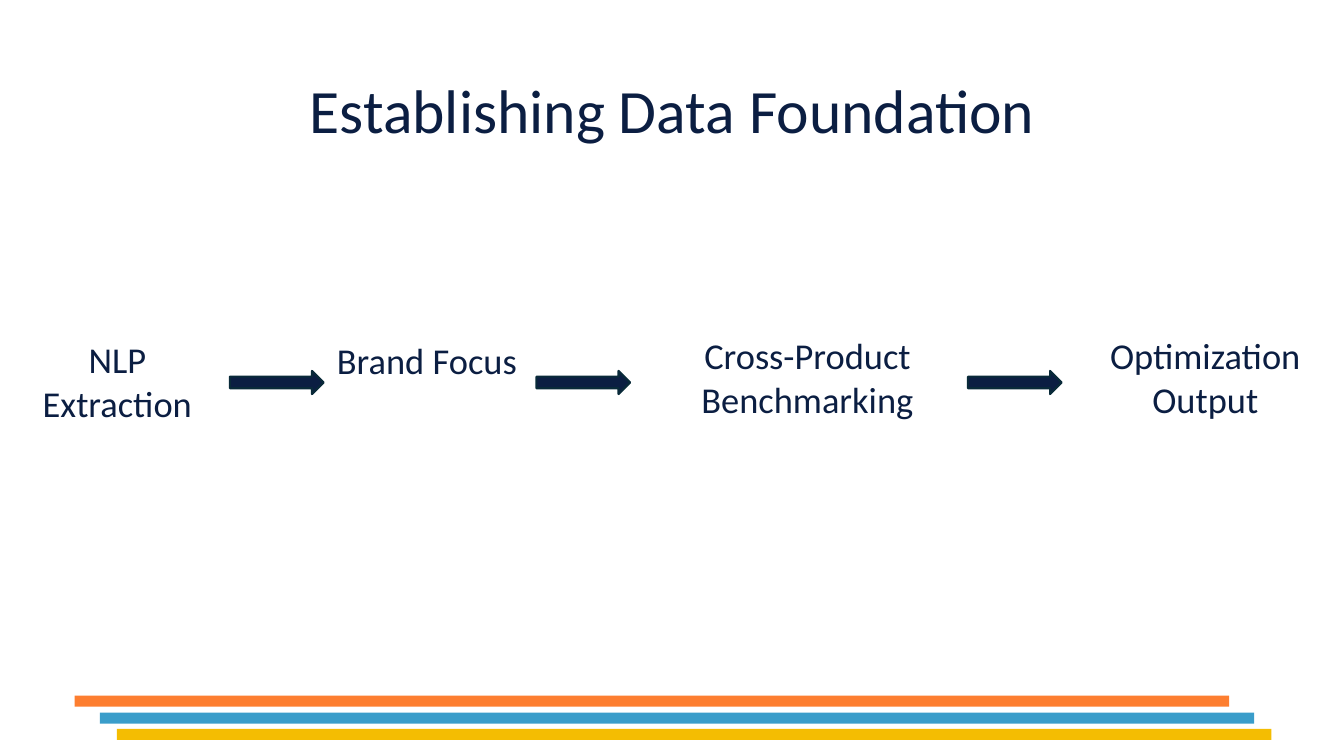
from dataclasses import dataclass

from pptx import Presentation
from pptx.dml.color import RGBColor
from pptx.enum.shapes import MSO_SHAPE as Preset
from pptx.enum.text import MSO_ANCHOR as Anchor, PP_ALIGN as Align
from pptx.shapes.autoshape import Shape
from pptx.slide import Slide
from pptx.util import Inches, Pt

COLORS = {
    "navy": "0B1E42",
    "arrow_edge": "092A39",
    "orange": "FD7E30",
    "blue": "3A9DCA",
    "yellow": "F4BD02",
}


@dataclass(frozen=True)
class Box:
    left: float
    top: float
    width: float
    height: float

    def lengths(self) -> tuple[Inches, ...]:
        return tuple(Inches(v) for v in (self.left, self.top, self.width, self.height))


@dataclass(frozen=True)
class Label:
    lines: tuple[str, ...]
    box: Box
    size: int = 26
    anchor: Anchor = Anchor.TOP
    line_spacing: float = 1.0


@dataclass(frozen=True)
class Stripe:
    left: float
    top: float
    color: str


TITLE = Label(("Establishing Data Foundation",), Box(0.92, 0.4, 11.5, 1.45),
              size=44, anchor=Anchor.MIDDLE, line_spacing=0.9)
STEPS = (
    Label(("NLP", "Extraction"), Box(0, 3.3, 2.33, 0.98)),
    Label(("Brand Focus",), Box(3.07, 3.31, 2.33, 0.98)),
    Label(("Cross-Product", "Benchmarking"), Box(6.53, 3.26, 2.96, 0.98)),
    Label(("Optimization Output",), Box(10.63, 3.26, 2.65, 0.98)),
)
ARROW_LEFTS = (2.28, 5.32, 9.6)
STRIPES = (
    Stripe(0.74, 6.9, "orange"),
    Stripe(0.99, 7.07, "blue"),
    Stripe(1.16, 7.23, "yellow"),
)


def rgb(name: str) -> RGBColor:
    return RGBColor.from_string(COLORS[name])


def add_label(slide: Slide, label: Label) -> None:
    frame = slide.shapes.add_textbox(*label.box.lengths()).text_frame
    frame.word_wrap = True
    frame.vertical_anchor = label.anchor
    frame.text = "\n".join(label.lines)
    for paragraph in frame.paragraphs:
        paragraph.alignment = Align.CENTER
        paragraph.line_spacing = label.line_spacing
        paragraph.font.name = "Calibri"
        paragraph.font.size = Pt(label.size)
        paragraph.font.color.rgb = rgb("navy")


def add_filled(slide: Slide, preset: Preset, box: Box, color: str) -> Shape:
    filled = slide.shapes.add_shape(preset, *box.lengths())
    filled.shadow.inherit = False
    filled.fill.solid()
    filled.fill.fore_color.rgb = rgb(color)
    filled.line.fill.background()
    return filled


def add_arrow(slide: Slide, left: float) -> None:
    arrow = add_filled(slide, Preset.RIGHT_ARROW, Box(left, 3.68, 0.93, 0.23), "navy")
    arrow.line.color.rgb = rgb("arrow_edge")
    arrow.line.width = Pt(1.5)


def main() -> None:
    deck = Presentation()
    deck.slide_width, deck.slide_height = Inches(13.33), Inches(7.5)
    slide = deck.slides.add_slide(deck.slide_layouts[6])

    # Title
    add_label(slide, TITLE)

    # Footer stripes
    for stripe in STRIPES:
        add_filled(slide, Preset.RECTANGLE,
                   Box(stripe.left, stripe.top, 11.45, 0.11), stripe.color)

    # Process steps and the arrows between them
    for step in STEPS:
        add_label(slide, step)
    for left in ARROW_LEFTS:
        add_arrow(slide, left)

    deck.save("out.pptx")


if __name__ == "__main__":
    main()
